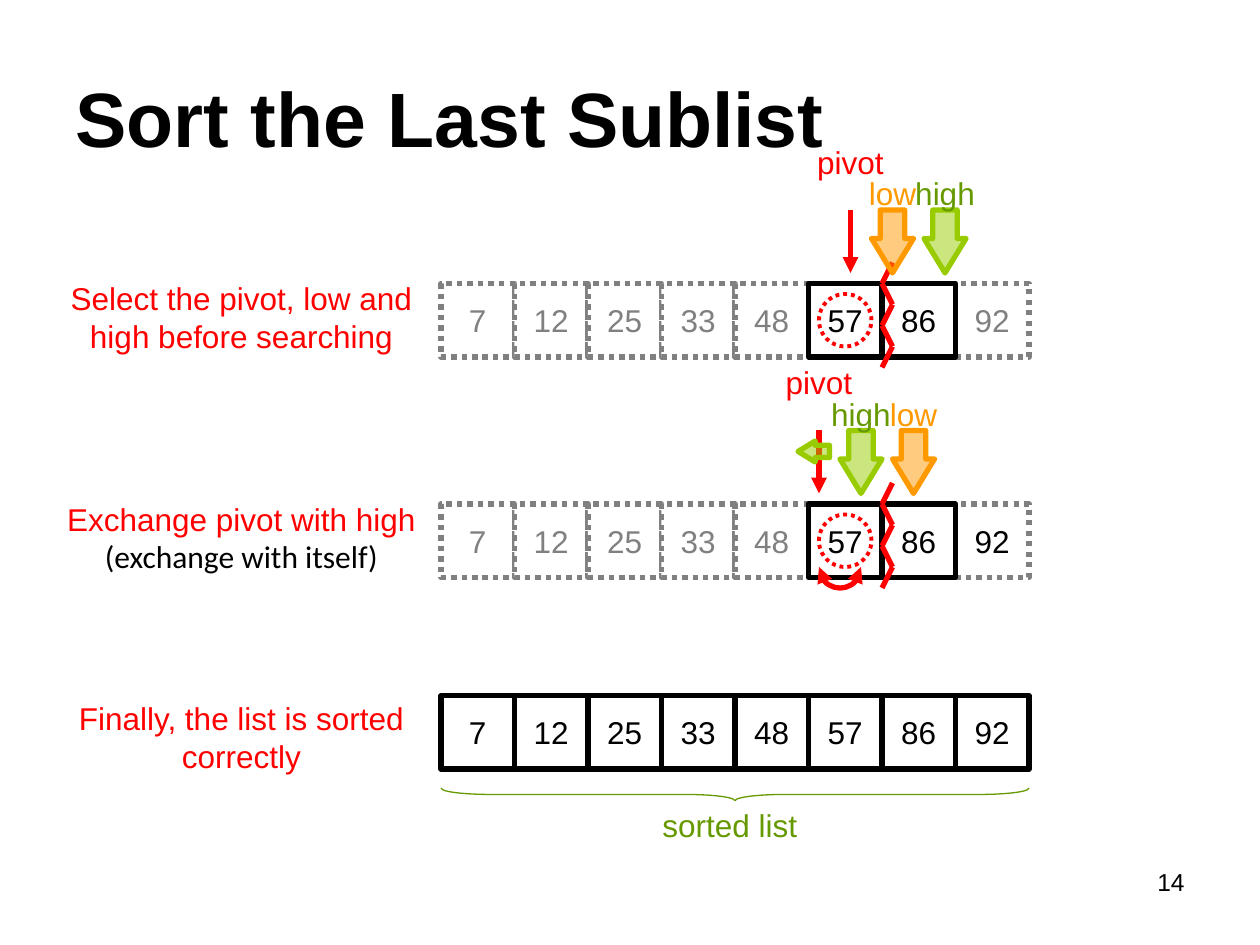
from lxml import etree
from pptx import Presentation
from pptx.dml.color import RGBColor
from pptx.enum.dml import MSO_LINE
from pptx.enum.shapes import MSO_CONNECTOR, MSO_SHAPE
from pptx.enum.text import MSO_ANCHOR, PP_ALIGN
from pptx.oxml.ns import qn
from pptx.util import Pt

DOTTED = MSO_LINE.ROUND_DOT
STRAIGHT = MSO_CONNECTOR.STRAIGHT
CENTER, LEFT, RIGHT = PP_ALIGN.CENTER, PP_ALIGN.LEFT, PP_ALIGN.RIGHT
MIDDLE, TOP = MSO_ANCHOR.MIDDLE, MSO_ANCHOR.TOP
RED, ORANGE, LIME, GREEN = "FF0000", "FF9900", "99CC00", "669900"
BLACK, GRAY, WHITE = "000000", "808080", "FFFFFF"
CELL, LIST_LEFT = 42, 252
NUMBERS = [7, 12, 25, 33, 48, 57, 86, 92]


def outline(item, color, width=3, dash=None, fill=None, alpha=None, heads=()):
    item.line.color.rgb = RGBColor.from_string(color)
    item.line.width = Pt(width)
    if dash:
        item.line.dash_style = dash
    properties = item._element.spPr
    if fill:
        item.fill.solid()
        item.fill.fore_color.rgb = RGBColor.from_string(fill)
        if alpha:
            tint = properties.find(qn("a:solidFill")).find(qn("a:srgbClr"))
            etree.SubElement(tint, qn("a:alpha"), val=str(alpha * 1000))
    elif hasattr(item, "fill"):
        item.fill.background()
    for head in heads:
        etree.SubElement(properties.find(qn("a:ln")), qn(head), type="triangle")
    etree.SubElement(properties, qn("a:effectLst"))


def write(item, text, color=BLACK, size=18, bold=False, align=CENTER, anchor=TOP, wrap=True):
    frame = item.text_frame
    frame.text = text
    frame.word_wrap = wrap
    frame.vertical_anchor = anchor
    paragraph = frame.paragraphs[0]
    paragraph.alignment = align
    for name, value in {"name": "Arial", "size": Pt(size), "bold": bold}.items():
        setattr(paragraph.runs[0].font, name, value)
    paragraph.runs[0].font.color.rgb = RGBColor.from_string(color)


deck = Presentation()
deck.slide_width, deck.slide_height = Pt(720), Pt(540)
slide = deck.slides.add_slide(deck.slide_layouts[5])
shapes = slide.shapes

title = shapes.title
title.left, title.top, title.width, title.height = Pt(36), Pt(21.6), Pt(648), Pt(90)
write(title, "Sort the Last Sublist", size=44, bold=True, align=LEFT, anchor=MIDDLE)

steps = [
    (162, 156, "Select the pivot, low and high before searching", [57, 86], [57, 86]),
    (288, 282, "Exchange pivot with high\v(exchange with itself)", [57, 86], [57, 86, 92]),
    (397.5, 396, "Finally, the list is sorted correctly", NUMBERS, NUMBERS),
]
for top, caption_top, caption_text, framed, active in steps:
    for number in sorted(NUMBERS, key=lambda n: n in framed):
        left = LIST_LEFT + CELL * NUMBERS.index(number)
        cell = shapes.add_shape(MSO_SHAPE.RECTANGLE, Pt(left), Pt(top), Pt(CELL), Pt(CELL))
        if number in framed:
            outline(cell, BLACK, fill=WHITE)
        else:
            outline(cell, GRAY, dash=DOTTED, fill=WHITE)
        write(cell, str(number), BLACK if number in active else GRAY, anchor=MIDDLE, wrap=False)
    caption = shapes.add_textbox(Pt(30), Pt(caption_top), Pt(216), Pt(50.4))
    write(caption, caption_text, RED)

searches = [(162, 486, 510, 540), (288, 468, 522, 492)]
for top, pivot_x, low_x, high_x in searches:
    split = shapes.add_group_shape()
    for i in range(5):
        start_x, end_x = (510, 504) if i % 2 == 0 else (504, 510)
        start_y = top - 12 + 12 * i
        zigzag = split.shapes.add_connector(
            STRAIGHT, Pt(start_x), Pt(start_y), Pt(end_x), Pt(start_y + 12))
        outline(zigzag, RED)

    pivot_ring = shapes.add_shape(MSO_SHAPE.OVAL, Pt(468), Pt(top + 6), Pt(30), Pt(30))
    outline(pivot_ring, RED, 2.25, DOTTED)
    pivot_pointer = shapes.add_connector(
        STRAIGHT, Pt(pivot_x), Pt(top - 42), Pt(pivot_x), Pt(top - 6))
    outline(pivot_pointer, RED, heads=["a:tailEnd"])

    for x, color in [(high_x, LIME), (low_x, ORANGE)]:
        marker = shapes.add_shape(MSO_SHAPE.DOWN_ARROW, Pt(x - 12), Pt(top - 42), Pt(24), Pt(36))
        marker.adjustments[0], marker.adjustments[1] = 0.58, 0.82
        outline(marker, color, fill=color, alpha=50)

    for text, x, rise, width, color in [
        ("pivot", pivot_x, 84, 84, RED),
        ("low", low_x, 66, 48, ORANGE),
        ("high", high_x, 66, 60, GREEN),
    ]:
        label = shapes.add_textbox(Pt(x - width / 2), Pt(top - rise), Pt(width), Pt(28.8))
        write(label, text, color)

exchange = shapes.add_shape(MSO_SHAPE.ARC, Pt(468), Pt(312), Pt(24), Pt(24))
exchange.adjustments[0], exchange.adjustments[1] = 0, 108
outline(exchange, RED, heads=["a:headEnd", "a:tailEnd"])

high_move = shapes.add_shape(MSO_SHAPE.LEFT_ARROW, Pt(456), Pt(252), Pt(18), Pt(12))
high_move.adjustments[0], high_move.adjustments[1] = 0.58, 0.82
outline(high_move, LIME, fill=LIME, alpha=50)

sorted_brace = shapes.add_shape(MSO_SHAPE.RIGHT_BRACE, Pt(416.4), Pt(286), Pt(7.2), Pt(336))
sorted_brace.rotation = 90
sorted_brace.adjustments[0] = 3.93
outline(sorted_brace, GREEN, 0.75)
sorted_label = shapes.add_textbox(Pt(354), Pt(457.2), Pt(126), Pt(28.8))
write(sorted_label, "sorted list", GREEN)

page_number = shapes.add_textbox(Pt(516), Pt(492), Pt(168), Pt(37.5))
write(page_number, "14", size=14, align=RIGHT)

deck.save("out.pptx")
